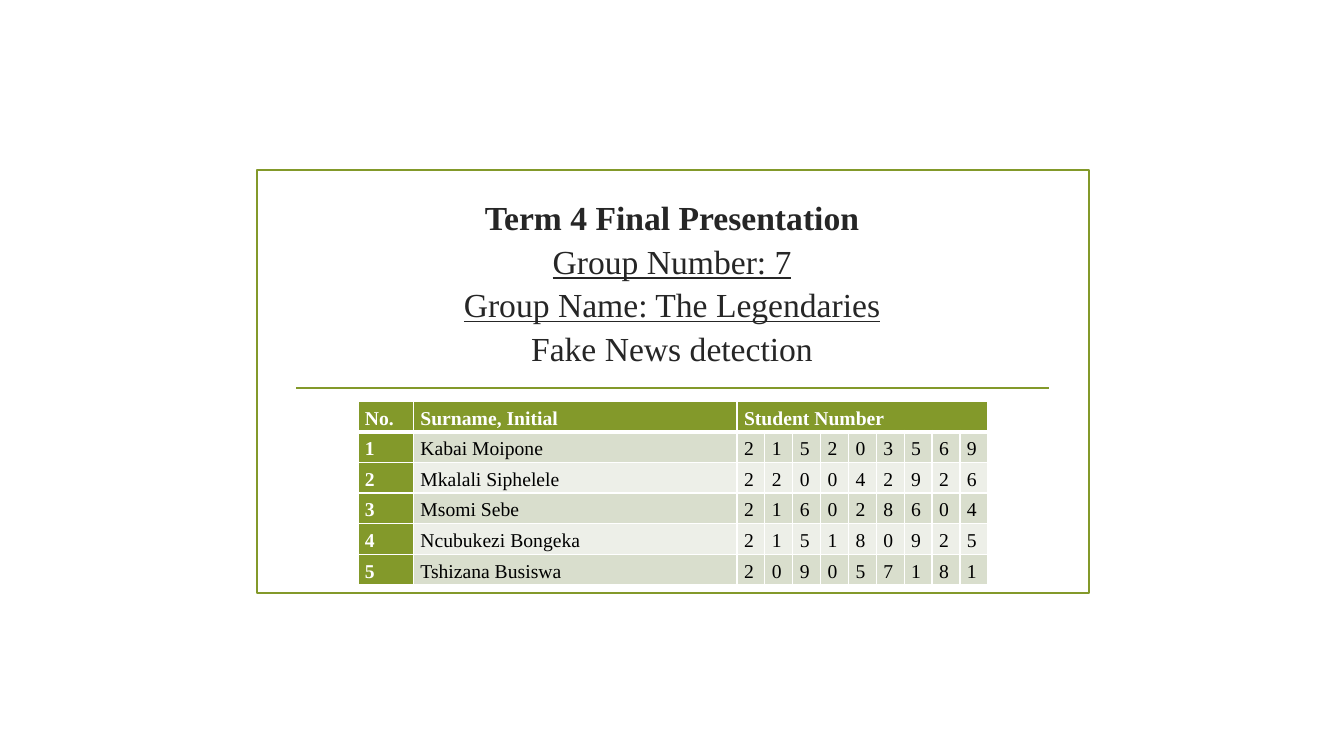
import dataclasses

import pptx
import pptx.dml.color
import pptx.enum.shapes
import pptx.enum.text
import pptx.oxml.ns
import pptx.util
from lxml import etree
from pptx.util import Inches


@dataclasses.dataclass(frozen=True)
class Theme:
    font: str = "Times New Roman"
    green: str = "83992A"
    dark: str = "262626"
    black: str = "000000"
    white: str = "FFFFFF"
    bands: tuple = ("D9DECD", "EDEFE8")
    title: int = 24
    body: int = 14
    line: float = 1.25


THEME = Theme()

HEADS = ("No.", "Surname, Initial", "Student Number")
TEAM = (
    ("Kabai Moipone", "215203569"),
    ("Mkalali Siphelele", "220042926"),
    ("Msomi Sebe", "216028604"),
    ("Ncubukezi Bongeka", "215180925"),
    ("Tshizana Busiswa", "209057181"),
)
TITLE = (
    ("Term 4 Final Presentation", {"bold": True}),
    ("Group Number: 7", {"under": True}),
    ("Group Name: The Legendaries", {"under": True}),
    ("Fake News detection", {}),
)


def rgb(code):
    return pptx.dml.color.RGBColor.from_string(code)


def add_text(para, text, size=THEME.body, color=THEME.black, bold=False, under=False):
    run = para.add_run()
    run.text = text
    font = run.font
    font.name = THEME.font
    font.size = pptx.util.Pt(size)
    font.color.rgb = rgb(color)
    font.bold = bold
    font.underline = under


def style_line(line):
    line.color.rgb = rgb(THEME.green)
    line.width = pptx.util.Pt(THEME.line)


def add_frame(slide):
    frame = slide.shapes.add_shape(
        pptx.enum.shapes.MSO_SHAPE.RECTANGLE,
        Inches(2.55), Inches(1.69), Inches(8.25), Inches(4.19))
    frame.shadow.inherit = False
    frame.fill.background()
    style_line(frame.line)


def add_rule(slide):
    rule = slide.shapes.add_connector(
        pptx.enum.shapes.MSO_CONNECTOR.STRAIGHT,
        Inches(2.94), Inches(3.85), Inches(10.4), Inches(3.85))
    style_line(rule.line)
    etree.SubElement(rule._element.spPr, pptx.oxml.ns.qn("a:effectLst"))


def add_title(slide):
    box = slide.shapes.add_textbox(
        Inches(2.94), Inches(1.81), Inches(7.45), Inches(1.89))
    frame = box.text_frame
    frame.word_wrap = True
    frame.vertical_anchor = pptx.enum.text.MSO_ANCHOR.BOTTOM
    para = frame.paragraphs[0]
    para.alignment = pptx.enum.text.PP_ALIGN.CENTER
    para.line_spacing = 1.08
    for row, (text, look) in enumerate(TITLE):
        if row:
            para.add_line_break()
        add_text(para, text, size=THEME.title, color=THEME.dark, **look)


def add_edge(cell, side, width):
    qn = pptx.oxml.ns.qn
    edge = etree.SubElement(
        cell._tc.get_or_add_tcPr(), qn("a:ln" + side), w=str(pptx.util.Pt(width)))
    fill = etree.SubElement(edge, qn("a:solidFill"))
    etree.SubElement(fill, qn("a:srgbClr"), val=THEME.white)


def fill_cell(cell, text, row, col):
    head = row == 0
    strong = head or col == 0
    # Edges come before the fill in the cell's XML
    for side in "LRTB":
        thick = (head and side == "B") or (row == 1 and side == "T")
        add_edge(cell, side, 3 if thick else 1)
    cell.fill.solid()
    cell.fill.fore_color.rgb = rgb(
        THEME.green if strong else THEME.bands[(row - 1) % 2])
    cell.margin_left = cell.margin_right = Inches(0.07)
    cell.margin_top = cell.margin_bottom = 0
    para = cell.text_frame.paragraphs[0]
    para.line_spacing = 1.3
    para.space_after = pptx.util.Pt(11.2)
    add_text(para, text, bold=strong,
             color=THEME.white if strong else THEME.black)


def add_team(slide):
    digits = len(TEAM[0][1])
    rows = [HEADS + ("",) * (digits - 1)]
    rows += [(str(n), name, *code) for n, (name, code) in enumerate(TEAM, 1)]
    wide, tall = 6.25, 0.28
    table = slide.shapes.add_table(
        len(rows), digits + 2, Inches(3.55), Inches(3.98),
        Inches(wide), Inches(tall * len(rows))).table
    # Digits share the width left by the first two columns
    first = [0.55, 3.21]
    widths = first + [(wide - sum(first)) / digits] * digits
    for col, width in zip(table.columns, widths):
        col.width = Inches(width)
    for r, row in enumerate(rows):
        table.rows[r].height = Inches(tall)
        for c, text in enumerate(row):
            fill_cell(table.cell(r, c), text, r, c)
    table.cell(0, 2).merge(table.cell(0, digits + 1))


def main():
    deck = pptx.Presentation()
    deck.slide_width = Inches(13.33)
    deck.slide_height = Inches(7.5)
    slide = deck.slides.add_slide(deck.slide_layouts[6])
    # Frame and divider
    add_frame(slide)
    add_rule(slide)
    # Content
    add_title(slide)
    add_team(slide)
    deck.save("out.pptx")


if __name__ == "__main__":
    main()
